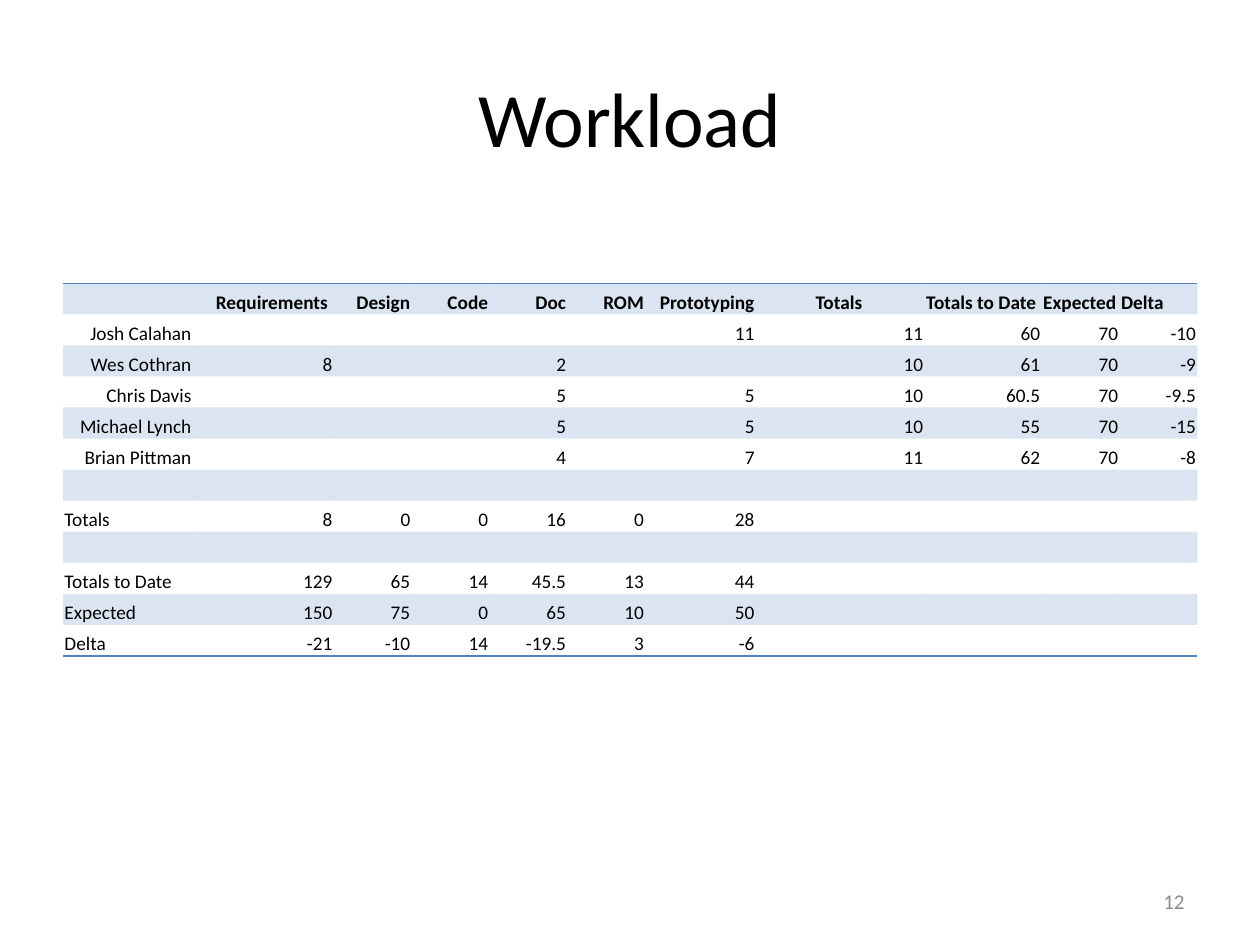
from lxml.etree import SubElement
from pptx import Presentation
from pptx.dml.color import RGBColor
from pptx.enum.text import MSO_ANCHOR, PP_ALIGN
from pptx.oxml import parse_xml
from pptx.oxml.ns import nsdecls, qn
from pptx.util import Cm, Pt

# Content
TITLE = "Workload"
PAGE_NUMBER = "12"
HEADINGS = ["", "Requirements ", "Design", "Code", "Doc", "ROM", "Prototyping",
            "", "Totals", "Totals to Date", "Expected", "Delta"]
# Name: (hours by task, totals by person)
PEOPLE = {
    "Josh Calahan": (["", "", "", "", "", "11"], ["11", "60", "70", "-10"]),
    "Wes Cothran": (["8", "", "", "2", "", ""], ["10", "61", "70", "-9"]),
    "Chris Davis": (["", "", "", "5", "", "5"], ["10", "60.5", "70", "-9.5"]),
    "Michael Lynch": (["", "", "", "5", "", "5"], ["10", "55", "70", "-15"]),
    "Brian Pittman": (["", "", "", "4", "", "7"], ["11", "62", "70", "-8"]),
}
SUMMARY = [
    ["Totals", "8", "0", "0", "16", "0", "28"],
    [],
    ["Totals to Date", "129", "65", "14", "45.5", "13", "44"],
    ["Expected", "150", "75", "0", "65", "10", "50"],
    ["Delta", "-21", "-10", "14", "-19.5", "3", "-6"],
]

# Layout, in centimetres
COLUMN_WIDTHS = [2.62, 2.84, 1.57, 1.57, 1.57, 1.57, 2.23, 1.17, 2.23, 2.36, 1.57, 1.57]
TABLE_LEFT, TABLE_TOP, TABLE_HEIGHT = 1.27, 5.71, 7.52
FIRST_TOTAL_COLUMN = 8
FONT, BLACK, GREY, BLUE = "Calibri", "000000", "8C8C8C", "4F81BD"
PLAIN_STYLE = "{2D5ABB26-0587-4C30-8999-92F81FD0307C}"


def color(value):
    return RGBColor.from_string(value)


def add_text(para, text, size, ink, align, bold=False):
    para.alignment = align
    span = para.add_run()
    span.text = text
    span.font.name, span.font.size, span.font.bold = FONT, Pt(size), bold
    span.font.color.rgb = color(ink)


def add_label(page, place, text, size, ink, align):
    box = page.shapes.add_textbox(*map(Cm, place))
    frame = box.text_frame
    frame.word_wrap = True
    frame.vertical_anchor = MSO_ANCHOR.MIDDLE
    add_text(frame.paragraphs[0], text, size, ink, align)


def shade(cell):
    cell.fill.solid()
    cell.fill.fore_color.rgb = color(BLUE)
    tint = cell._tc.tcPr.find(".//" + qn("a:srgbClr"))
    SubElement(tint, qn("a:alpha"), val="20000")


def add_rule(cell, side):
    line = parse_xml(
        f'<a:{side} {nsdecls("a")} w="12700"><a:solidFill>'
        f'<a:srgbClr val="{BLUE}"/></a:solidFill></a:{side}>')
    cell._tc.get_or_add_tcPr().insert(0, line)


def alignment(row, column, people_count):
    """Row labels of the summary and headings of the totals go left."""
    left = (column >= FIRST_TOTAL_COLUMN if row == 0
            else column == 0 and row > people_count)
    return PP_ALIGN.LEFT if left else PP_ALIGN.RIGHT


def add_workload(page):
    people = [[name, *tasks, "", *totals] for name, (tasks, totals) in PEOPLE.items()]
    rows = [HEADINGS, *people, [], *SUMMARY]
    frame = page.shapes.add_table(
        len(rows), len(HEADINGS), Cm(TABLE_LEFT), Cm(TABLE_TOP),
        Cm(sum(COLUMN_WIDTHS)), Cm(TABLE_HEIGHT))
    table = frame.table
    table.first_row = table.horz_banding = False
    table._tbl.tblPr.find(qn("a:tableStyleId")).text = PLAIN_STYLE
    for column, width in zip(table.columns, COLUMN_WIDTHS):
        column.width = Cm(width)

    for r, values in enumerate(rows):
        table.rows[r].height = Cm(TABLE_HEIGHT / len(rows))
        padded = values + [""] * (len(HEADINGS) - len(values))
        for c, text in enumerate(padded):
            cell = table.cell(r, c)
            cell.vertical_anchor = MSO_ANCHOR.BOTTOM
            cell.margin_left = cell.margin_right = cell.margin_top = Cm(0.03)
            cell.margin_bottom = Cm(0)
            para = cell.text_frame.paragraphs[0]
            if text:
                add_text(para, text, 11, BLACK, alignment(r, c, len(people)), bold=r == 0)
            else:
                # Keeps empty cells from stretching the row
                SubElement(para._p, qn("a:endParaRPr"), sz="1100")
            if r % 2 == 0:
                shade(cell)
            else:
                cell.fill.background()
            if r == 0:
                add_rule(cell, "lnT")
            elif r == len(rows) - 1:
                add_rule(cell, "lnB")


def main():
    deck = Presentation()
    deck.slide_width, deck.slide_height = Cm(25.4), Cm(19.05)
    page = deck.slides.add_slide(deck.slide_layouts[6])
    add_label(page, (1.27, 0.76, 22.86, 3.18), TITLE, 44, BLACK, PP_ALIGN.CENTER)
    add_label(page, (18.2, 17.66, 5.93, 1.01), PAGE_NUMBER, 12, GREY, PP_ALIGN.RIGHT)
    add_workload(page)
    deck.save("out.pptx")


if __name__ == "__main__":
    main()
